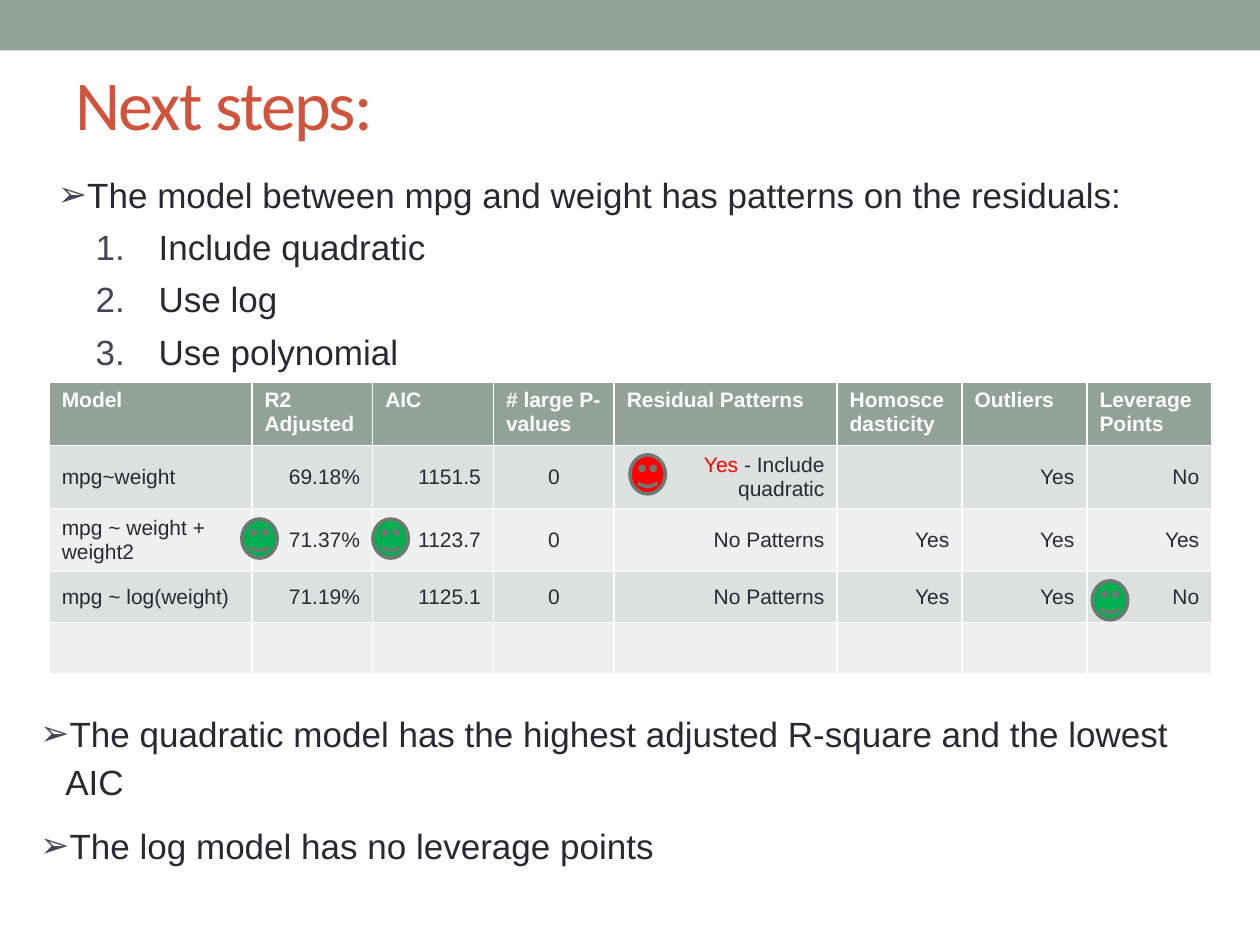
from dataclasses import dataclass

from lxml import etree
from pptx import Presentation
from pptx.dml.color import RGBColor
from pptx.enum.shapes import MSO_SHAPE
from pptx.enum.text import MSO_ANCHOR, PP_ALIGN
from pptx.oxml.ns import qn
from pptx.util import Pt

RECTANGLE, SMILEY = MSO_SHAPE.RECTANGLE, MSO_SHAPE.SMILEY_FACE
LEFT, CENTER, RIGHT = PP_ALIGN.LEFT, PP_ALIGN.CENTER, PP_ALIGN.RIGHT
TOP, MIDDLE = MSO_ANCHOR.TOP, MSO_ANCHOR.MIDDLE

SAGE, INK, BULLET_GREY = "93A299", "292934", "454557"
WHITE, RED, GREEN = "FFFFFF", "FF0000", "00B050"
BANDS = ("DCE0DE", "EEF0EF")


@dataclass(frozen=True)
class Item:
    text: str
    numbered: bool = False


@dataclass(frozen=True)
class Column:
    heading: str
    width: float
    align: PP_ALIGN = RIGHT


@dataclass(frozen=True)
class Face:
    left: float
    top: float
    fill: str = GREEN


COLUMNS = (
    Column("Model", 115.9, LEFT),
    Column("R2 Adjusted", 69),
    Column("AIC", 69),
    Column("# large P-values", 69, CENTER),
    Column("Residual Patterns", 127.4),
    Column("Homoscedasticity", 71.4),
    Column("Outliers", 71.4),
    Column("Leverage Points", 71.4),
)
# A cell is a sequence of (text, colour) spans, or a plain string.
FLAGGED = (("Yes ", RED), ("- Include quadratic", INK))
ROWS = (
    ("mpg~weight", "69.18%", "1151.5", "0", FLAGGED, "", "Yes", "No"),
    ("mpg ~ weight + weight2", "71.37%", "1123.7", "0", "No Patterns", "Yes", "Yes", "Yes"),
    ("mpg ~ log(weight)", "71.19%", "1125.1", "0", "No Patterns", "Yes", "Yes", "No"),
    ("",) * len(COLUMNS),
)
ROW_HEIGHT = 29.2
FACES = (Face(138.2, 296.6), Face(213.1, 296.6), Face(360, 259.9, RED), Face(624.2, 331.9))
STEPS = (
    Item("The model between mpg and weight has patterns on the residuals:"),
    Item("Include quadratic", numbered=True),
    Item("Use log", numbered=True),
    Item("Use polynomial", numbered=True),
)
FINDINGS = (
    Item("The quadratic model has the highest adjusted R-square and the lowest AIC"),
    Item("The log model has no leverage points"),
)


def color(value: str) -> RGBColor:
    return RGBColor.from_string(value)


def set_font(font, name: str, size: float, value: str, bold: bool = False) -> None:
    font.name, font.size, font.bold = name, Pt(size), bold
    font.color.rgb = color(value)


def add_box(page, left: float, top: float, width: float, height: float):
    box = page.shapes.add_textbox(Pt(left), Pt(top), Pt(width), Pt(height))
    box.text_frame.word_wrap = True
    return box.text_frame


def add_title(page, text: str) -> None:
    frame = add_box(page, 36, 29.5, 647.3, 58.3)
    frame.vertical_anchor = MIDDLE
    para = frame.paragraphs[0]
    span = para.add_run()
    span.text = text
    set_font(para.font, "Calibri", 40, "D2533C")
    span.font._element.set("spc", "-100")


def set_bullet(para, numbered: bool) -> None:
    """Give the paragraph a hanging arrow bullet or an automatic number."""
    properties = para._p.get_or_add_pPr()
    margin, hang = (57.6, 36) if numbered else (14.4, 14.4)
    properties.set("marL", str(Pt(margin)))
    properties.set("indent", str(-Pt(hang)))
    tint = etree.SubElement(properties, qn("a:buClr"))
    etree.SubElement(tint, qn("a:srgbClr"), val=BULLET_GREY)
    etree.SubElement(properties, qn("a:buFont"), typeface="Arial")
    if numbered:
        etree.SubElement(properties, qn("a:buAutoNum"), type="arabicPeriod")
    else:
        etree.SubElement(properties, qn("a:buChar"), char="➢")


def add_list(page, items: tuple[Item, ...], left: float, top: float, height: float) -> None:
    frame = add_box(page, left, top, 665.3, height)
    frame.margin_left = frame.margin_right = Pt(5)
    frame.margin_top = frame.margin_bottom = Pt(2.9)
    for index, item in enumerate(items):
        para = frame.add_paragraph() if index else frame.paragraphs[0]
        para.text = item.text
        para.level = int(item.numbered)
        set_bullet(para, item.numbered)
        para.line_spacing = 1.0 if item.numbered else 1.14
        if index:
            para.space_before = Pt(5.8 if item.numbered else 9)
        set_font(para.font, "Arial", 20, INK)


def fill_cell(cell, content, fill: str, value: str, align: PP_ALIGN,
              anchor: MSO_ANCHOR, bold: bool = False) -> None:
    cell.fill.solid()
    cell.fill.fore_color.rgb = color(fill)
    cell.vertical_anchor = anchor
    para = cell.text_frame.paragraphs[0]
    para.alignment = align
    spans = ((content, value),) if isinstance(content, str) else content
    for text, span_color in spans:
        if text:
            span = para.add_run()
            span.text = text
            set_font(span.font, "Arial", 12, span_color, bold)


def add_model_table(page) -> None:
    """Draw the comparison table; the default style supplies its white borders."""
    count = len(ROWS) + 1
    table = page.shapes.add_table(
        count, len(COLUMNS), Pt(28.1), Pt(218.5),
        Pt(sum(column.width for column in COLUMNS)), Pt(ROW_HEIGHT * count)).table
    for row in table.rows:
        row.height = Pt(ROW_HEIGHT)
    for x, column in enumerate(COLUMNS):
        table.columns[x].width = Pt(column.width)
        fill_cell(table.cell(0, x), column.heading, SAGE, WHITE, LEFT, TOP, bold=True)
        for y, row in enumerate(ROWS):
            fill_cell(table.cell(y + 1, x), row[x], BANDS[y % 2], INK, column.align, MIDDLE)


def add_filled(page, kind: MSO_SHAPE, left: float, top: float,
               width: float, height: float, fill: str):
    shape = page.shapes.add_shape(kind, Pt(left), Pt(top), Pt(width), Pt(height))
    shape.shadow.inherit = False
    shape.fill.solid()
    shape.fill.fore_color.rgb = color(fill)
    shape.line.fill.background()
    return shape


def add_face(page, face: Face) -> None:
    shape = add_filled(page, SMILEY, face.left, face.top, 20.2, 22.3, face.fill)
    shape.line.color.rgb = color("6D7871")
    shape.line.width = Pt(2.08)


def main() -> None:
    deck = Presentation()
    deck.slide_width, deck.slide_height = Pt(720), Pt(540)
    page = deck.slides.add_slide(deck.slide_layouts[6])
    add_filled(page, RECTANGLE, 0, 0, 720, 28.8, SAGE)
    add_title(page, "Next steps:")
    add_model_table(page)
    for face in FACES:
        add_face(page, face)
    add_list(page, STEPS, 28.1, 92.9, 169.2)
    add_list(page, FINDINGS, 18, 401, 123.8)
    deck.save("out.pptx")


if __name__ == "__main__":
    main()
